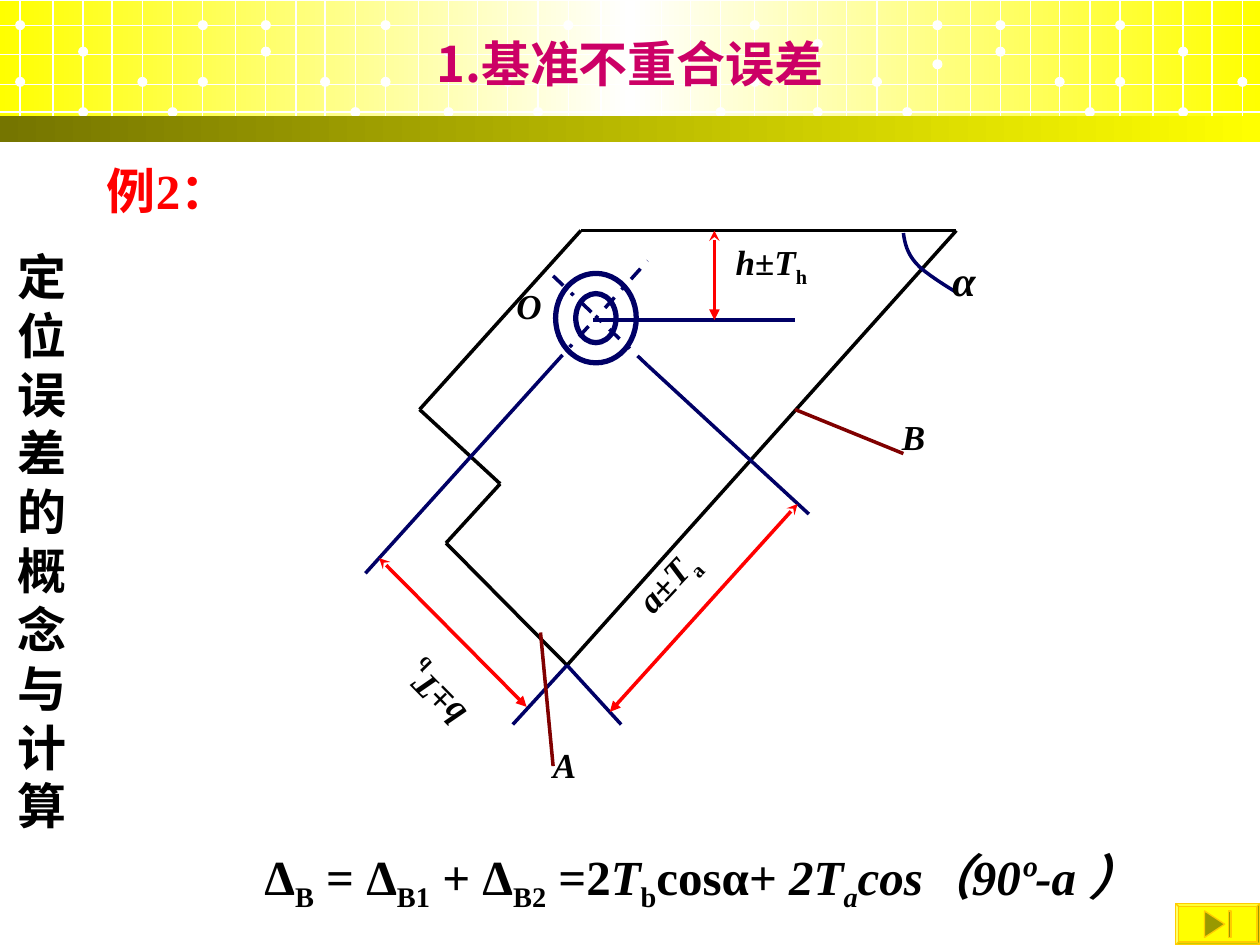
import copy
import itertools

import pptx
import pptx.dml.color
import pptx.enum.dml
import pptx.enum.shapes
import pptx.enum.text
import pptx.oxml
import pptx.oxml.ns
import pptx.util

KIND = pptx.enum.shapes.MSO_SHAPE
FIT = pptx.enum.text.MSO_AUTO_SIZE
MID = pptx.enum.text.MSO_ANCHOR.MIDDLE
CENTER = pptx.enum.text.PP_ALIGN.CENTER
DASH = pptx.enum.dml.MSO_LINE.DASH_DOT
COLS = 1000
WIDE, HIGH = pptx.util.Inches(10), pptx.util.Inches(7.5)
WHITE, BLACK, RED, NAVY, BROWN = "FFFFFF", "000000", "FF0000", "000066", "800000"
YELLOW, OLIVE = "FFFF00", "757500"
SERIF = "Times New Roman"

STARTS = (16, 306, 599, 889)
STEPS = (0, 26, 50, 73, 97, 121, 145, 171, 195, 219, 242, 266)
ROWS = (20, 43, 67, 89)
DOTS = ((0, 61), (0, 16), (50, 37), (50, 85), (97, 61), (121, 85),
        (145, 61), (145, 16), (195, 37), (195, 16), (242, 61), (266, 85))
MOVED = {(306, 145, 61): 39, (599, 50, 37): 31, (599, 145, 61): 47}

PART = ((461, 183), (759, 183), (450, 528), (354, 431), (397, 384), (333, 325), (461, 183))
AXES = ((439, 219, 514, 290), (439, 290, 514, 207))
GUIDES = ((471, 254, 631, 254), (290, 455, 439, 290), (514, 290, 642, 408),
          (450, 528, 493, 575), (407, 575, 450, 528))
SIZES = ((567, 183, 567, 254), (301, 443, 418, 561), (633, 400, 484, 565))
LEADS = ((631, 325, 717, 360), (439, 608, 429, 502))
ARC = (((717, 185), (718, 193), (720, 201), (727, 209)),
       ((727, 209), (734, 217), (754, 229), (759, 232)))

NAMES = (("A", 429, 585, 49, 44, 20), ("B", 706, 325, 38, 44, 20),
         ("O", 400, 221, 40, 44, 20), ("α", 746, 197, 38, 50, 24))
SPANS = (("b", 308, 527, 75, 48, 225.5), ("a", 487, 424, 115, 48, 313.1),
         ("h", 574, 186, 76, 48, 0))
SUM = (("Δ", ""), ("B", "s"), (" = Δ", ""), ("B1", "s"), (" + Δ", ""), ("B2", "s"),
       (" =2", ""), ("T", "i"), ("b", "s"), ("cosα+ ", ""), ("2T", "i"), ("a", "is"),
       ("cos（90º-a ）", "i"))


def unit(num):
    """Turn grid columns into a length."""
    return pptx.util.Emu(round(num * WIDE / COLS))


def tint(code):
    """Turn a hex string into a colour."""
    return pptx.dml.color.RGBColor.from_string(code)


def apply(item, form):
    """Set each attribute named in a dict."""
    for key, value in form.items():
        setattr(item, key, value)


def add(node, tag, **attrs):
    """Append a drawing element to a node."""
    child = pptx.oxml.parse_xml(f"<a:{tag} {pptx.oxml.ns.nsdecls('a')}/>")
    for key, value in attrs.items():
        child.set(key, value)
    node.append(child)


def rule(slide, ends, color, width=2, dash=None, arrow=False):
    """Draw a straight line between two grid points."""
    line = slide.shapes.add_connector(
        pptx.enum.shapes.MSO_CONNECTOR.STRAIGHT, *map(unit, ends))
    line.line.color.rgb = tint(color)
    apply(line.line, {"width": pptx.util.Pt(width), "dash_style": dash})
    if arrow:
        pen = line.line._get_or_add_ln()
        add(pen, "headEnd", type="stealth")
        add(pen, "tailEnd", type="triangle")
    add(line._element.spPr, "effectLst")


def form(slide, kind, box, fill=None, edge=None, width=0.75, ratio=None, turn=0):
    """Draw a preset shape."""
    shape = slide.shapes.add_shape(kind, *map(unit, box))
    apply(shape, {"rotation": turn})
    shape.shadow.inherit = False
    paint(shape, fill, edge, width)
    if ratio is not None:
        shape.adjustments[0] = ratio
    return shape


def paint(shape, fill, edge, width):
    """Set fill and outline."""
    for part, color in ((shape.fill, fill), (shape.line.fill, edge)):
        if color:
            part.solid()
            part.fore_color.rgb = tint(color)
        else:
            part.background()
    if edge:
        shape.line.width = pptx.util.Pt(width)


def blend(shape, colors):
    """Fill a shape with evenly spaced colours, from right to left."""
    shape.fill.gradient()
    shape.fill.gradient_angle = 180
    stops = shape._element.spPr.find(".//" + pptx.oxml.ns.qn("a:gsLst"))
    for _ in colors[2:]:
        stops.append(copy.deepcopy(stops[0]))
    for num, (stop, color) in enumerate(zip(shape.fill.gradient_stops, colors)):
        stop.color.rgb = tint(color)
        stop.position = num / (len(colors) - 1)


def write(frame, runs, size, color=BLACK, face=SERIF, frameset=None, paraset=None):
    """Write runs flagged i for italic and s for subscript."""
    apply(frame, frameset or {})
    para = frame.paragraphs[0]
    apply(para, paraset or {})
    for text, flags in runs:
        run = para.add_run()
        run.text = text
        apply(run.font, {"size": pptx.util.Pt(size), "bold": True,
                         "italic": "i" in flags, "name": face})
        run.font.color.rgb = tint(color)
        props = run._r.get_or_add_rPr()
        if "CJK" in face:
            add(props, "ea", typeface=face)
        if "s" in flags:
            props.set("baseline", "-25000")


def label(slide, box, runs, size, turn=0, wrap=False, **rest):
    """Add a text box."""
    text = slide.shapes.add_textbox(*map(unit, box))
    text.rotation = turn
    look = {"word_wrap": wrap, "auto_size": FIT.NONE, **rest.pop("look", {})}
    write(text.text_frame, runs, size, frameset=look, **rest)


def banner(slide):
    """Draw the header with its grid and dots."""
    blend(form(slide, KIND.RECTANGLE, (0, 1, COLS, 102)), (YELLOW, WHITE, YELLOW))
    for start, step in itertools.product(STARTS, STEPS):
        if start + step < COLS:
            rule(slide, (start + step, 0, start + step, 110), WHITE, 0.75)
    for row in ROWS:
        rule(slide, (0, row, COLS, row), WHITE, 0.75)
    for start, (step, top) in itertools.product(STARTS, DOTS):
        if start + step < COLS:
            top = MOVED.get((start, step, top), top)
            form(slide, KIND.OVAL, (start + step - 4, top, 8, 8), WHITE)
    blend(form(slide, KIND.RECTANGLE, (0, 92, COLS, 21)), (YELLOW, OLIVE))


def heading(slide):
    """Place the title, the side title and the example label."""
    title = slide.shapes.title
    apply(title, dict(zip(("left", "top", "width", "height"),
                          map(unit, (0, 12, COLS, 66)))))
    slide.shapes._spTree.append(title._element)
    write(title.text_frame, [("1.基准不重合误差", "")], 28, "CC0066", "Noto Sans CJK SC",
          {"vertical_anchor": MID, "auto_size": FIT.NONE},
          {"alignment": CENTER, "line_spacing": 1.2})
    label(slide, (0, 108, 67, 642), [("定位误差的概念与计算", "")], 28, wrap=True,
          face="DejaVu Sans", look={"vertical_anchor": MID}, paraset={"alignment": CENTER})
    label(slide, (75, 117, 925, 62), [("例2：", "")], 28, wrap=True, color=RED,
          look={"vertical_anchor": MID}, paraset={"line_spacing": 1.1})


def curve(slide, parts, color, count=8):
    """Draw cubic curves as one fine outline."""
    spots = []
    for (a, b, c, d), num in itertools.product(parts, range(count + 1)):
        t = num / count
        spots.append([unit((1 - t) ** 3 * p + 3 * t * (1 - t) ** 2 * q
                           + 3 * t * t * (1 - t) * r + t ** 3 * s)
                      for p, q, r, s in zip(a, b, c, d)])
    pen = slide.shapes.build_freeform(*spots[0])
    pen.add_line_segments(spots[1:], close=False)
    shape = pen.convert_to_shape()
    shape.shadow.inherit = False
    paint(shape, None, color, 2)


def drawing(slide):
    """Draw the part with its sizes and labels."""
    for start, end in itertools.pairwise(PART):
        rule(slide, start + end, BLACK)
    form(slide, KIND.DONUT, (441, 217, 64, 71), edge=NAVY, width=3, ratio=0.25)
    for lines, color, dash, arrow in ((AXES, NAVY, DASH, False), (GUIDES, NAVY, None, False),
                                      (SIZES, RED, None, True), (LEADS, BROWN, None, False)):
        for ends in lines:
            rule(slide, ends, color, dash=dash, arrow=arrow)
    curve(slide, ARC, NAVY)
    for name, *box, size in NAMES:
        label(slide, box, [(name, "i")], size)
    for name, *box, turn in SPANS:
        label(slide, box, [(name, "i"), ("±", ""), ("T", "i"), (name, "s")], 20, turn)


def button(slide):
    """Draw the button that leads to the end."""
    form(slide, KIND.BEVEL, (933, 717, 67, 33), YELLOW, "FFCC00", ratio=0.07)
    form(slide, KIND.ISOSCELES_TRIANGLE, (953.5, 725.5, 21, 16), "999900", "FFCC00", turn=90)
    form(slide, KIND.RECTANGLE, (975, 723, 2, 21), "999900", "FFCC00")


def main():
    """Build and save the slide."""
    deck = pptx.Presentation()
    apply(deck, {"slide_width": WIDE, "slide_height": HIGH})
    slide = deck.slides.add_slide(deck.slide_layouts.get_by_name("Title Only"))
    banner(slide)
    heading(slide)
    drawing(slide)
    label(slide, (200, 667, 741, 63), SUM, 28)
    button(slide)
    deck.save("out.pptx")


if __name__ == "__main__":
    main()
